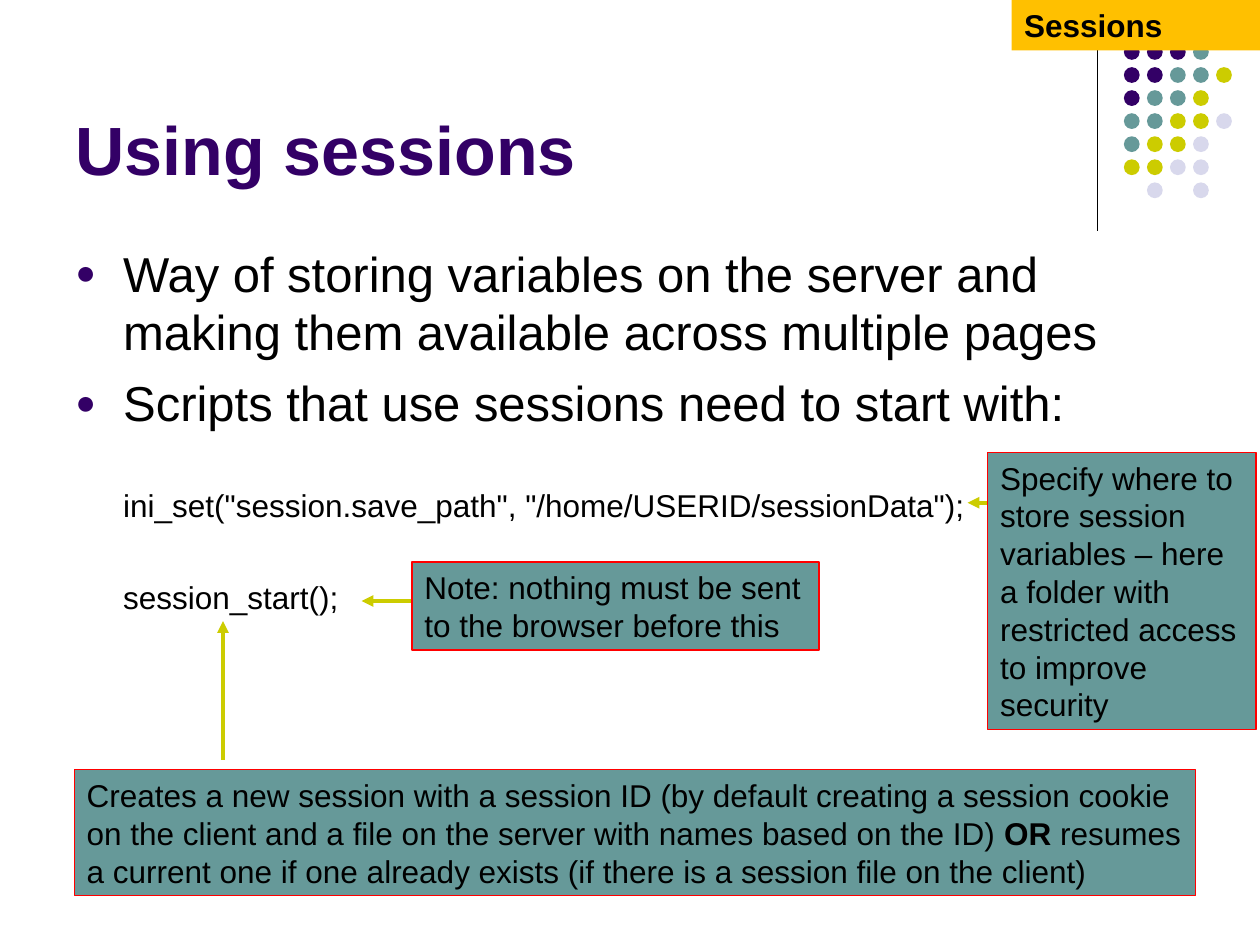
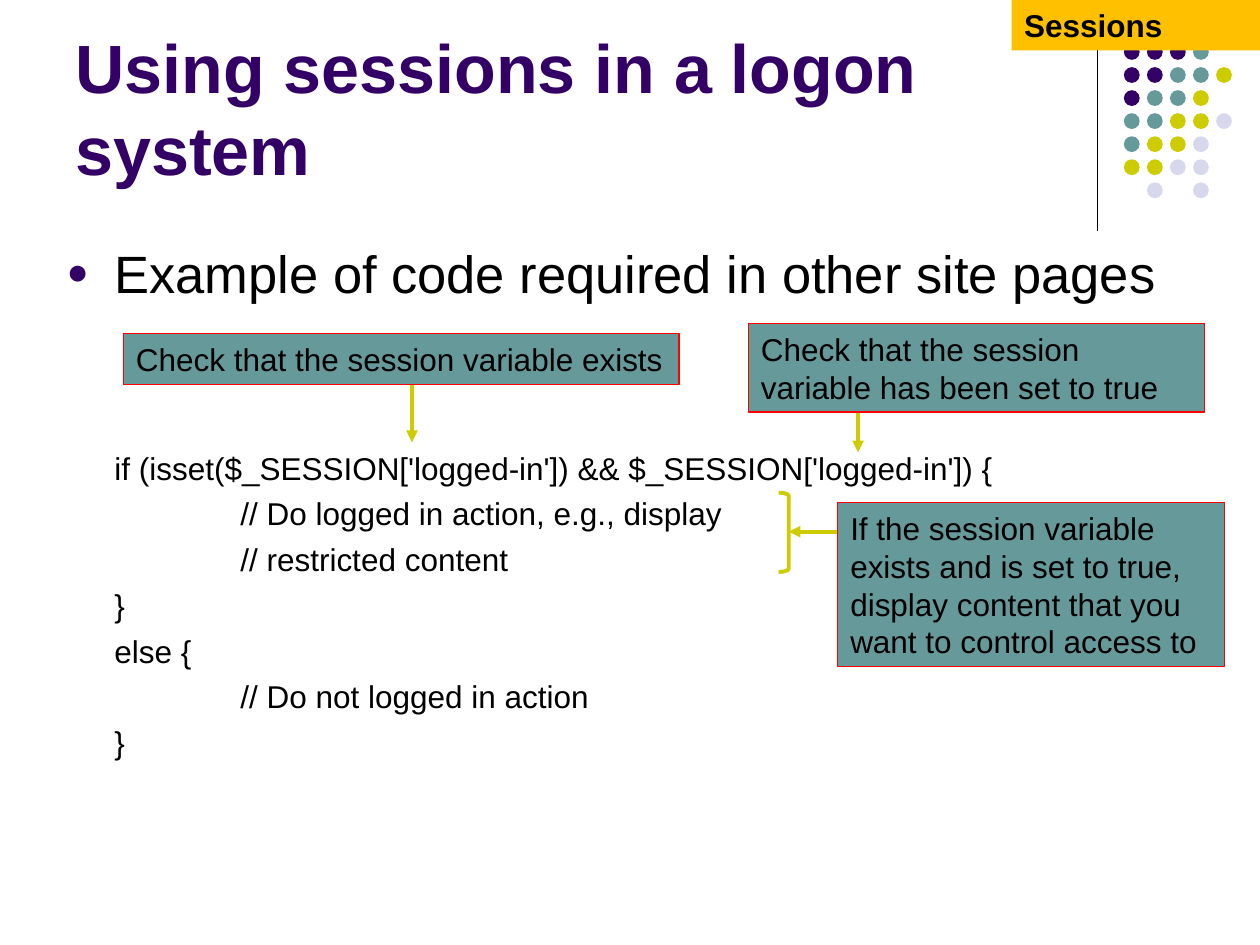
from lxml import etree
from pptx import Presentation
from pptx.dml.color import RGBColor
from pptx.enum.shapes import MSO_CONNECTOR, MSO_SHAPE
from pptx.enum.text import MSO_ANCHOR, PP_ALIGN
from pptx.oxml.ns import qn
from pptx.util import Inches, Pt

RECTANGLE, OVAL, BRACKET = MSO_SHAPE.RECTANGLE, MSO_SHAPE.OVAL, MSO_SHAPE.RIGHT_BRACKET
STRAIGHT = MSO_CONNECTOR.STRAIGHT
TOP, BOTTOM, LEFT = MSO_ANCHOR.TOP, MSO_ANCHOR.BOTTOM, PP_ALIGN.LEFT

rgb = RGBColor.from_string
BLACK, PURPLE, TEAL, LIME, LAVENDER = "000000", "330066", "669999", "CCCC00", "D8D8EC"
RED, AMBER = "FF0000", "FFC000"
FONT = "Arial"
CODE_SIZE = 18
LINE_HEIGHT = 1.2
HANG = 0.38  # inches from bullet to text
DEEP = HANG + 1

# The slide is a grid of 100 columns by 75 rows
deck = Presentation()
deck.slide_width, deck.slide_height = Inches(10), Inches(7.5)
COL, ROW = deck.slide_width / 100, deck.slide_height / 75

TITLE_BOX = (5, 1.3, 82.5, 14.2)
TAB_BOX = (80.3, 0, 19.7, 4)
RULE = (87.1, 1.7, 87.1, 18.3)
DOT_LEFT, DOT_TOP, DOT_STEP, DOT_SIZE = 89.2, 3.5, 1.83, 1.25
DOT_COLOURS = {"P": PURPLE, "T": TEAL, "L": LIME, "V": LAVENDER}
DOT_ROWS = ["PPPT", "PPTTL", "PTTL", "TTLLV", "TLLV", "LLVV", " V V"]

# Body lines: text, size, space before, left indent, bulleted
# Callouts: grid box, text with **bold** marks; arrows: start and end on the grid
SLIDES = [
    {
        "title": "Using sessions",
        "body_box": (5, 18.8, 90, 48.2),
        "body": [
            ("Way of storing variables on the server and making them available "
             "across multiple pages", 28, 7, HANG, True),
            ("Scripts that use sessions need to start with:", 28, 7, HANG, True),
            ('ini_set("session.save_path", "/home/USERID/sessionData");',
             CODE_SIZE, 31, HANG, False),
            ("session_start();", CODE_SIZE, 31, HANG, False),
        ],
        "arrows": [(32.7, 47.7, 28.7, 47.7), (78.3, 39.9, 76.8, 39.9),
                   (17.7, 60.3, 17.7, 49.3)],
        "callouts": [
            ((32.7, 44.6, 32.3, 7), "Note: nothing must be sent to the browser before this"),
            ((78.4, 35.9, 21.3, 22), "Specify where to store session variables – here a folder "
             "with restricted access to improve security"),
            ((5.9, 61.1, 89, 10), "Creates a new session with a session ID (by default creating "
             "a session cookie on the client and a file on the server with names based on the "
             "ID) **OR** resumes a current one if one already exists (if there is a session "
             "file on the client)"),
        ],
        "brackets": [],
    },
    {
        "title": "Using sessions in a logon system",
        "body_box": (4.3, 18.6, 90, 48.2),
        "body": [
            ("Example of code required in other site pages", 30, 7.5, HANG, True),
            ("if (isset($_SESSION['logged-in']) && $_SESSION['logged-in']) {",
             CODE_SIZE, 83, HANG, False),
            ("// Do logged in action, e.g., display", CODE_SIZE, 4.5, DEEP, False),
            ("// restricted content", CODE_SIZE, 4.5, DEEP, False),
            ("}", CODE_SIZE, 4.5, HANG, False),
            ("else {", CODE_SIZE, 4.5, HANG, False),
            ("// Do not logged in action", CODE_SIZE, 4.5, DEEP, False),
            ("}", CODE_SIZE, 4.5, HANG, False),
        ],
        "arrows": [(32.7, 30.4, 32.7, 35.1), (68.1, 32.8, 68.1, 35.9),
                   (66.5, 42.2, 62.6, 42.2)],
        "callouts": [
            ((9.8, 26.5, 44.1, 4), "Check that the session variable exists"),
            ((59.4, 25.7, 36.2, 7), "Check that the session variable has been set to true"),
            ((66.5, 39.9, 30.7, 13), "If the session variable exists and is set to true, "
             "display content that you want to control access to"),
        ],
        "brackets": [(61.8, 39.1, 0.8, 6.3)],
    },
]


def on_grid(*lengths):
    """Turn alternating columns and rows into slide lengths."""
    return [round(n * (ROW if i % 2 else COL)) for i, n in enumerate(lengths)]


def add_block(slide, box, lines, colour=BLACK, bold=False, fill=None, outline=None, anchor=TOP):
    """Write lines into a text box, or into a filled rectangle when fill is given."""
    if fill:
        block = slide.shapes.add_shape(RECTANGLE, *on_grid(*box))
        block.shadow.inherit = False
        block.fill.solid()
        block.fill.fore_color.rgb = rgb(fill)
        if outline:
            block.line.color.rgb = rgb(outline)
            block.line.width = Pt(0.75)
        else:
            block.line.fill.background()
    else:
        block = slide.shapes.add_textbox(*on_grid(*box))
    frame = block.text_frame
    frame.word_wrap = True
    frame.vertical_anchor = anchor
    for i, (text, size, space, indent, bulleted) in enumerate(lines):
        paragraph = frame.add_paragraph() if i else frame.paragraphs[0]
        paragraph.alignment = LEFT
        paragraph.line_spacing = Pt(size * LINE_HEIGHT)
        paragraph.space_before = Pt(space)
        for j, part in enumerate(text.split("**")):
            run = paragraph.add_run()
            run.text = part
            run.font.name, run.font.size = FONT, Pt(size)
            run.font.bold = bold or j % 2 == 1
            run.font.color.rgb = rgb(colour)
        properties = paragraph._p.get_or_add_pPr()
        properties.set("marL", str(Inches(indent)))
        properties.set("indent", str(-Inches(HANG) if bulleted else 0))
        if bulleted:
            tint = etree.SubElement(properties, qn("a:buClr"))
            etree.SubElement(tint, qn("a:srgbClr"), val=PURPLE)
            etree.SubElement(properties, qn("a:buSzPct"), val="70000")
            etree.SubElement(properties, qn("a:buFont"), typeface=FONT)
            etree.SubElement(properties, qn("a:buChar"), char="●")


for content in SLIDES:
    slide = deck.slides.add_slide(deck.slide_layouts[6])

    for row, pattern in enumerate(DOT_ROWS):
        for column, key in enumerate(pattern):
            if key in DOT_COLOURS:
                dot = slide.shapes.add_shape(OVAL, *on_grid(
                    DOT_LEFT + column * DOT_STEP, DOT_TOP + row * DOT_STEP, DOT_SIZE, DOT_SIZE))
                dot.shadow.inherit = False
                dot.fill.solid()
                dot.fill.fore_color.rgb = rgb(DOT_COLOURS[key])
                dot.line.fill.background()

    add_block(slide, TITLE_BOX, [(content["title"], 39, 0, 0, False)],
              colour=PURPLE, bold=True, anchor=BOTTOM)
    add_block(slide, content["body_box"], content["body"])

    for ends in [RULE] + content["arrows"]:
        is_rule = ends == RULE
        line = slide.shapes.add_connector(STRAIGHT, *on_grid(*ends))
        line.line.color.rgb = rgb(BLACK if is_rule else LIME)
        line.line.width = Pt(0.75 if is_rule else 2.25)
        if not is_rule:
            etree.SubElement(line.line._get_or_add_ln(), qn("a:tailEnd"), type="triangle")
        etree.SubElement(line._element.spPr, qn("a:effectLst"))

    for box, text in content["callouts"]:
        add_block(slide, box, [(text, CODE_SIZE, 0, 0, False)], fill=TEAL, outline=RED)

    for box in content["brackets"]:
        bracket = slide.shapes.add_shape(BRACKET, *on_grid(*box))
        bracket.shadow.inherit = False
        bracket.adjustments[0] = 0.33
        bracket.fill.background()
        bracket.line.color.rgb = rgb(LIME)
        bracket.line.width = Pt(2.25)

    add_block(slide, TAB_BOX, [("Sessions", CODE_SIZE, 0, 0, False)], bold=True, fill=AMBER)

deck.save("out.pptx")
